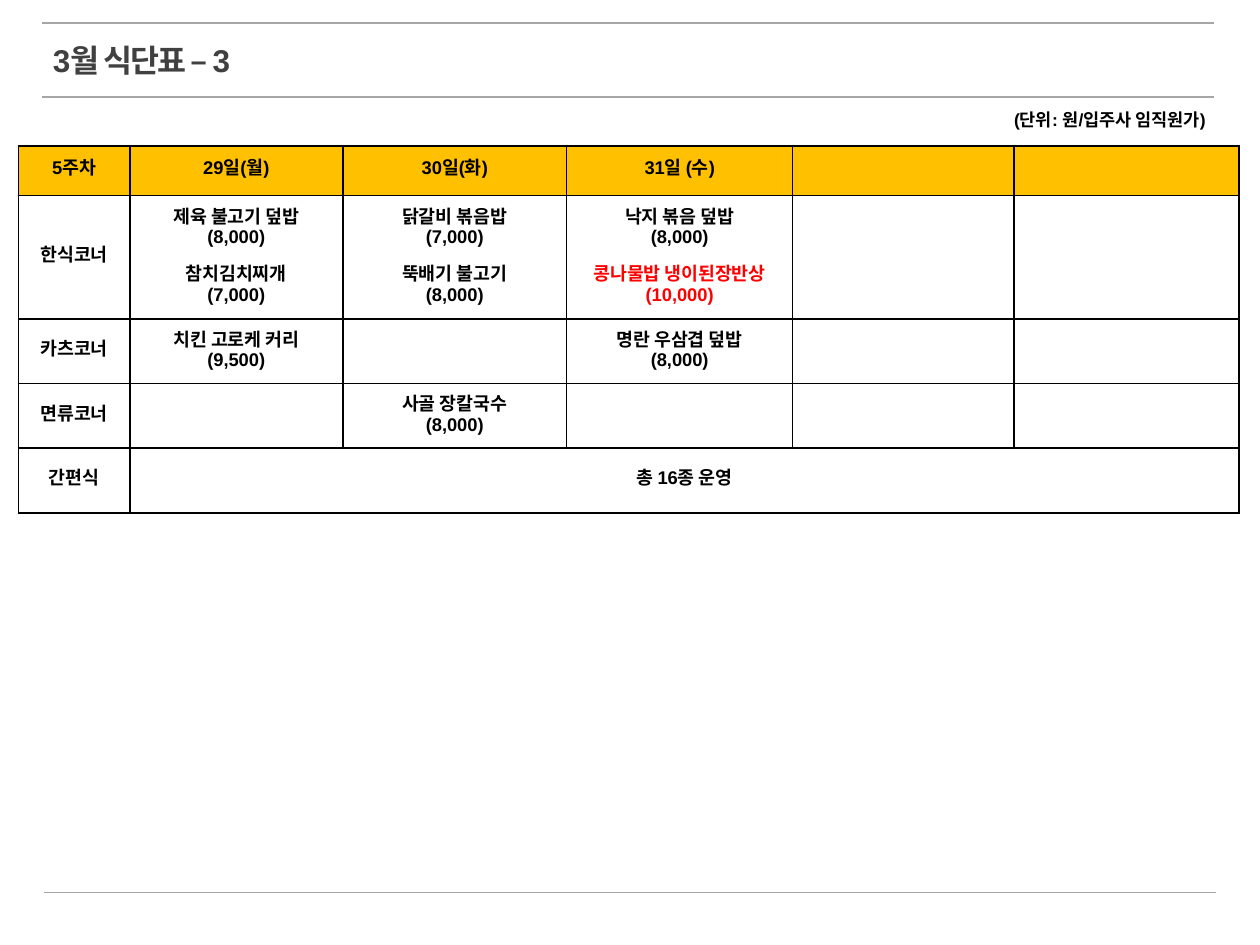
from lxml import etree
from pptx import Presentation
from pptx.dml import color
from pptx.enum import shapes, text
from pptx.oxml import ns
from pptx.util import Pt

BLACK, RED, GRAY, AMBER, WHITE = "000000", "FF0000", "A6A6A6", "FFC000", "FFFFFF"
TITLE_GRAY = "404040"
COLUMNS = [63.7, 121.7, 128, 129.1, 126.6, 128.6]
ROWS = [28.3, 70.8, 36.9, 36.9, 36.9]
# Each cell lists its dishes; each dish lists its lines.
MENU = [
    [[["5주차"]], [["29일(월)"]], [["30일(화)"]], [["31일 (수)"]], [], []],
    [[["한식코너"]],
     [["제육 불고기 덮밥", "(8,000)"], ["참치김치찌개", "(7,000)"]],
     [["닭갈비 볶음밥", "(7,000)"], ["뚝배기 불고기", "(8,000)"]],
     [["낙지 볶음 덮밥", "(8,000)"], ["콩나물밥 냉이된장반상", "(10,000)"]], [], []],
    [[["카츠코너"]], [["치킨 고로케 커리", "(9,500)"]], [],
     [["명란 우삼겹 덮밥\v(8,000)"]], [], []],
    [[["면류코너"]], [], [["사골 장칼국수", "(8,000)"]], [], [], []],
    [[["간편식"]], [["총 16종 운영"]], [], [], [], []],
]
SPECIAL = ["콩나물밥 냉이된장반상", "(10,000)"]


def rgb(value):
    """Turn a hex string into a colour."""
    return color.RGBColor.from_string(value)


def style(p, size, value, align):
    """Set bold Arial, size, colour and alignment on a paragraph and its runs."""
    p.alignment = align
    for font in [p.font] + [r.font for r in p.runs]:
        font.name, font.size, font.bold = "Arial", Pt(size), True
        font.color.rgb = rgb(value)


def add_rule(s, left, top, width):
    """Draw a thin grey horizontal rule."""
    line = s.shapes.add_connector(shapes.MSO_CONNECTOR.STRAIGHT, Pt(left), Pt(top),
                                  Pt(left + width), Pt(top))
    line.line.color.rgb, line.line.width = rgb(GRAY), Pt(1)
    etree.SubElement(line._element.spPr, ns.qn("a:effectLst"))


def add_title(s, left, top, width, height):
    """Place and format the title placeholder."""
    sp = s.shapes.title
    sp.left, sp.top, sp.width, sp.height = Pt(left), Pt(top), Pt(width), Pt(height)
    tf = sp.text_frame
    tf.text = "3월 식단표 – 3"
    tf.vertical_anchor = text.MSO_ANCHOR.MIDDLE
    tf.auto_size = text.MSO_AUTO_SIZE.NONE
    p = tf.paragraphs[0]
    style(p, 18, TITLE_GRAY, text.PP_ALIGN.LEFT)
    p.runs[0].font._element.set("spc", "-100")


def add_unit_note(s, left, top, width, height):
    """Add the right-aligned note on the price unit."""
    tf = s.shapes.add_textbox(Pt(left), Pt(top), Pt(width), Pt(height)).text_frame
    tf.word_wrap = True
    tf.text = "(단위: 원/입주사 임직원가)"
    style(tf.paragraphs[0], 10, BLACK, text.PP_ALIGN.RIGHT)


def set_borders(cell):
    """Give a cell black 1 pt borders, placed before its fill."""
    tcPr = cell._tc.get_or_add_tcPr()
    for i, side in enumerate(["lnL", "lnR", "lnT", "lnB"]):
        ln = etree.Element(ns.qn("a:" + side), w=str(Pt(1)))
        fill = etree.SubElement(ln, ns.qn("a:solidFill"))
        etree.SubElement(fill, ns.qn("a:srgbClr"), val=BLACK)
        tcPr.insert(i, ln)


def fill_cell(cell, dishes, background):
    """Write the dishes of one cell, one line of space between two dishes."""
    cell.fill.solid()
    cell.fill.fore_color.rgb = rgb(background)
    set_borders(cell)
    cell.vertical_anchor = text.MSO_ANCHOR.MIDDLE
    tf = cell.text_frame
    tf.text = "\n".join(line for dish in dishes for line in dish)
    starts = [sum(map(len, dishes[:i])) for i in range(1, len(dishes))]
    for i, p in enumerate(tf.paragraphs):
        style(p, 10.5, RED if p.text in SPECIAL else BLACK, text.PP_ALIGN.CENTER)
        p.line_spacing = Pt(11)
        if i in starts:
            p.space_before = Pt(11)


def add_menu(s, left, top):
    """Build the weekly menu table from its top left corner."""
    table = s.shapes.add_table(len(ROWS), len(COLUMNS), Pt(left), Pt(top),
                               Pt(sum(COLUMNS)), Pt(sum(ROWS))).table
    for column, width in zip(table.columns, COLUMNS):
        column.width = Pt(width)
    for r, (row, height) in enumerate(zip(table.rows, ROWS)):
        row.height = Pt(height)
        for cell, dishes in zip(row.cells, MENU[r]):
            fill_cell(cell, dishes, WHITE if r else AMBER)
    table.cell(4, 1).merge(table.cell(4, 5))


def add_menu_slide(prs):
    """Add the menu slide with its rules, title, table and note."""
    s = prs.slides.add_slide(prs.slide_layouts[5])
    for left, top in [(24.2, 13), (24.2, 55.5), (25.2, 510)]:
        add_rule(s, left, top, 669.6)
    add_title(s, 23, 20, 377, 29)
    add_menu(s, 10.5, 83.3)
    add_unit_note(s, 504, 59, 192, 19.5)


prs = Presentation()
prs.slide_width, prs.slide_height = Pt(720), Pt(540)
add_menu_slide(prs)
prs.save("out.pptx")
